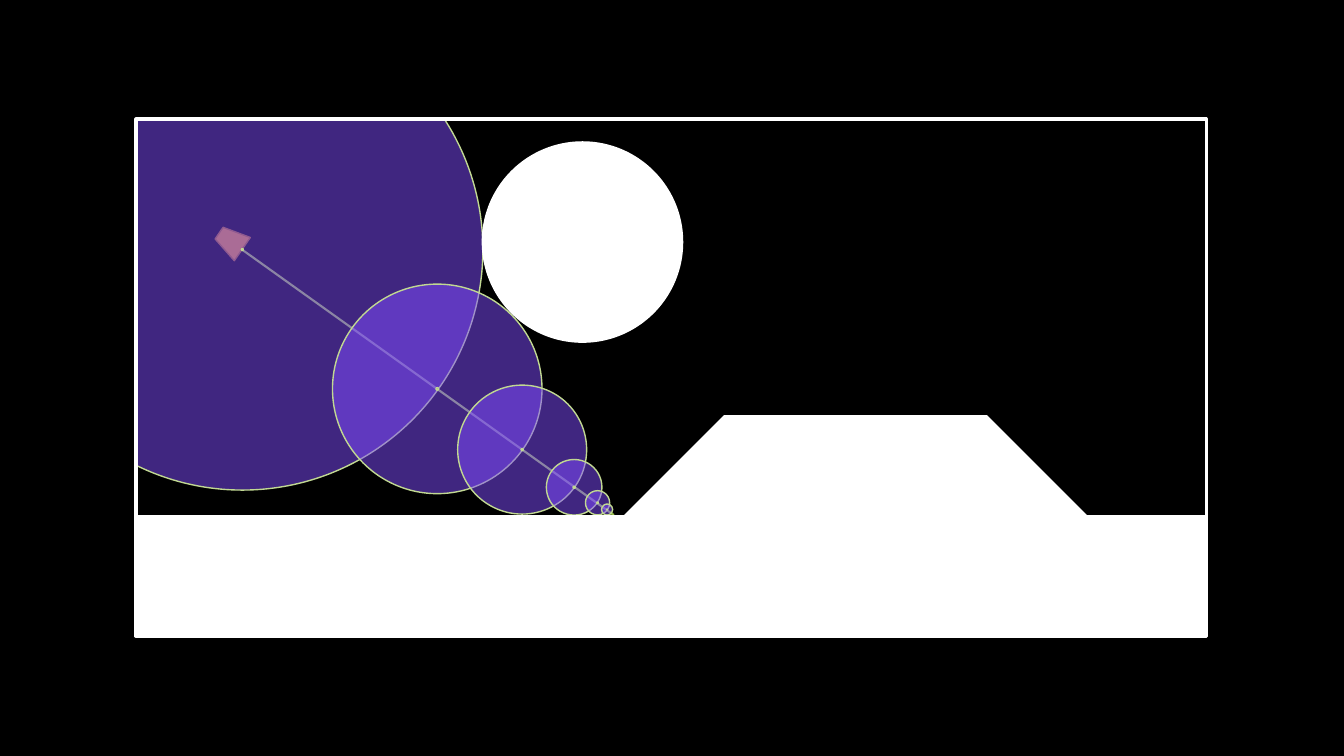
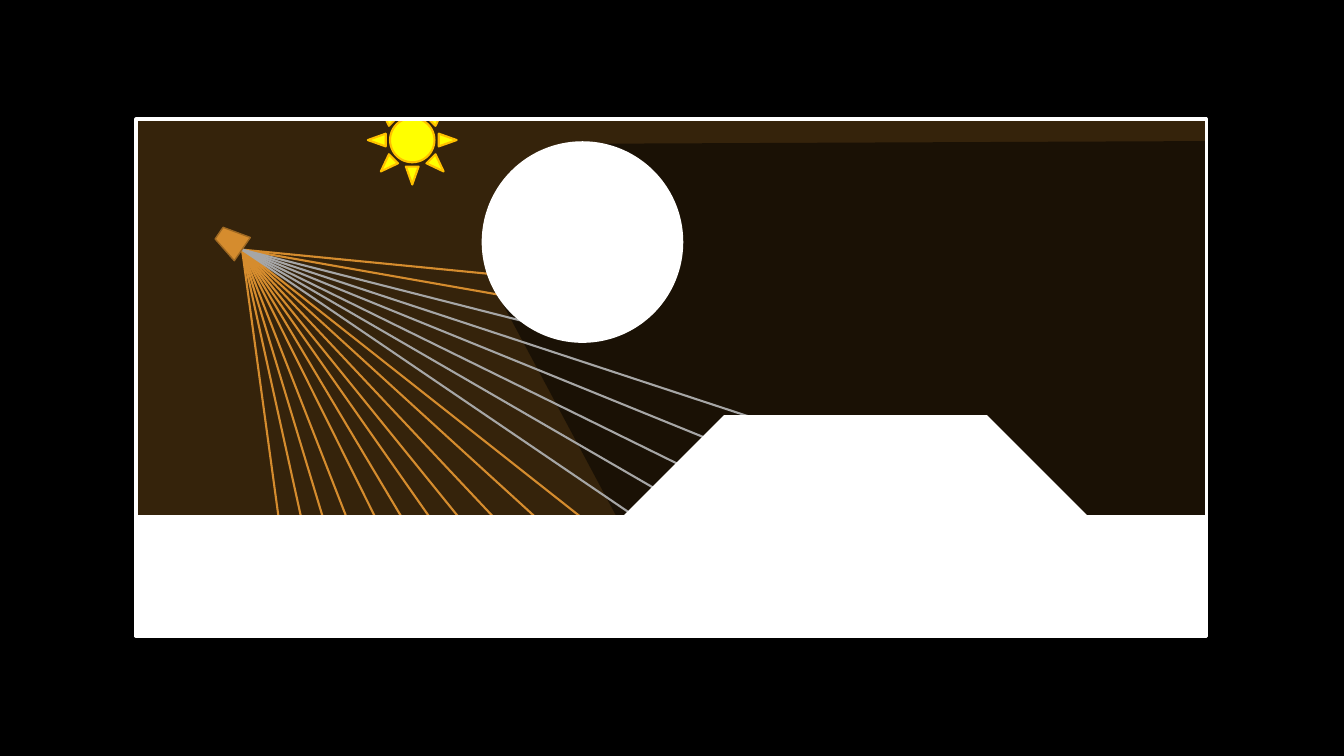
from dataclasses import dataclass, replace

import pptx
import pptx.dml.color
import pptx.enum.shapes
import pptx.oxml.ns
import pptx.util
from lxml import etree

Cm = pptx.util.Cm
Kind = pptx.enum.shapes.MSO_SHAPE
qualified = pptx.oxml.ns.qn

COLORS = {
    "black": "000000",
    "white": "FFFFFF",
    "orange": "D58C2E",
    "brown": "9E6822",
    "green": "97BE49",
    "pale_green": "C1D892",
    "violet": "814DFF",
    "gray": "A6A6A6",
    "yellow": "FFFF00",
    "gold": "FFC000",
}


@dataclass(frozen=True)
class Item:
    """A preset shape; lengths in centimetres, line width in points."""
    kind: Kind
    left: float
    top: float
    width: float
    height: float
    fill: str | None = None
    opacity: int = 100
    line: str | None = None
    line_width: float = 1
    rotation: float = 0
    adjustments: tuple[float, ...] = ()


@dataclass(frozen=True)
class Sphere:
    """A marching step: a disc with a pinhole at its centre."""
    x: float
    y: float
    diameter: float
    hole_inset: float


@dataclass(frozen=True)
class Ray:
    x: float
    y: float
    color: str


def rgb(name: str) -> pptx.dml.color.RGBColor:
    return pptx.dml.color.RGBColor.from_string(COLORS[name])


def draw_item(slide, item: Item) -> None:
    shape = slide.shapes.add_shape(
        item.kind, Cm(item.left), Cm(item.top), Cm(item.width), Cm(item.height))
    shape.shadow.inherit = False
    shape.rotation = item.rotation
    for index, value in enumerate(item.adjustments):
        shape.adjustments[index] = value
    if item.fill:
        shape.fill.solid()
        shape.fill.fore_color.rgb = rgb(item.fill)
        if item.opacity < 100:
            color = shape.fill._xPr.find(".//" + qualified("a:srgbClr"))
            alpha = etree.SubElement(color, qualified("a:alpha"))
            alpha.set("val", str(item.opacity * 1000))
    else:
        shape.fill.background()
    if item.line:
        shape.line.color.rgb = rgb(item.line)
        shape.line.width = pptx.util.Pt(item.line_width)
    else:
        shape.line.fill.background()


def draw_ray(slide, ray: Ray) -> None:
    connector = slide.shapes.add_connector(
        pptx.enum.shapes.MSO_CONNECTOR.STRAIGHT,
        Cm(EYE[0]), Cm(EYE[1]), Cm(ray.x), Cm(ray.y))
    connector.line.color.rgb = rgb(ray.color)
    connector.line.width = pptx.util.Pt(1.5)
    etree.SubElement(connector._element.spPr, qualified("a:effectLst"))


def draw_sphere(slide, sphere: Sphere) -> None:
    radius = sphere.diameter / 2
    draw_item(slide, Item(
        Kind.DONUT, sphere.x - radius, sphere.y - radius,
        sphere.diameter, sphere.diameter, "violet", 50, "pale_green",
        adjustments=(sphere.hole_inset,)))


def draw_scene(slide) -> None:
    for item in SCENE:
        draw_item(slide, item)


def draw_frame(slide, mask_width: float) -> None:
    """Hide what spills over the top and left edges, then outline the view."""
    for left, top, width, height in ((0.46, 0.2, mask_width, 2.79),
                                     (0, 1.55, 3.43, 14.5)):
        draw_item(slide, Item(Kind.RECTANGLE, left, top, width, height,
                              "black", line="black"))
    draw_item(slide, replace(VIEW, line="white", line_width=2.25))


# Shared scene
EYE = (6.1, 6.29)
VIEW = Item(Kind.RECTANGLE, 3.43, 3, 26.97, 13.03)
CAMERA = Item(Kind.TRAPEZOID, 5.46, 5.72, 0.71, 0.71, "orange",
              line="brown", rotation=304.5)
SCENE = (
    Item(Kind.OVAL, 12.14, 3.56, 5.08, 5.08, "white"),
    Item(Kind.SNIP_2_SAME_RECTANGLE, 15.72, 10.46, 11.68, 5.05, "white",
         adjustments=(0.5, 0)),
    Item(Kind.RECTANGLE, 3.43, 12.98, 26.97, 3.07, "white"),
)

# Marching slide
MARCH_RAY = Ray(15.47, 12.98, "green")
SPHERES = (
    Sphere(6.11, 6.29, 12.12, 0.498),
    Sphere(11.02, 9.8, 5.28, 0.494),
    Sphere(13.16, 11.33, 3.25, 0.492),
    Sphere(14.47, 12.28, 1.4, 0.481),
    Sphere(15.06, 12.67, 0.61, 0.468),
    Sphere(15.3, 12.84, 0.28, 0.468),
)

# Lighting slide
LIGHT = replace(VIEW, fill="orange", opacity=25)
SHADOW = Item(Kind.TRAPEZOID, 8.08, 0.71, 27.56, 19.38, "black", 50,
              rotation=300.8, adjustments=(0.602,))
SUN = Item(Kind.SUN, 9.27, 2.41, 2.24, 2.24, "yellow",
           line="gold", line_width=1.5)
RAY_ENDS = {
    "orange": (
        (7.04, 13.18), (7.62, 13.18), (8.18, 13.18), (8.79, 13.18),
        (9.53, 13.18), (10.24, 13.23), (11, 13.28), (11.76, 13.28),
        (12.7, 13.31), (13.69, 13.21), (14.83, 13.18),
        (13.11, 7.52), (12.93, 6.96)),
    "gray": (
        (15.95, 12.98), (16.69, 12.42), (17.53, 11.91), (18.26, 11.23),
        (18.95, 10.52), (13.41, 8.15)),
}


def add_black_slide(presentation):
    slide = presentation.slides.add_slide(presentation.slide_layouts[6])
    slide.background.fill.solid()
    slide.background.fill.fore_color.rgb = rgb("black")
    return slide


def build_marching_slide(presentation) -> None:
    slide = add_black_slide(presentation)
    draw_item(slide, CAMERA)
    draw_ray(slide, MARCH_RAY)
    for sphere in SPHERES:
        draw_sphere(slide, sphere)
    draw_scene(slide)
    draw_frame(slide, mask_width=12.55)


def build_lighting_slide(presentation) -> None:
    slide = add_black_slide(presentation)
    for item in (LIGHT, SHADOW, SUN):
        draw_item(slide, item)
    draw_frame(slide, mask_width=25.48)
    for color, ends in RAY_ENDS.items():
        for x, y in ends:
            draw_ray(slide, Ray(x, y, color))
    draw_scene(slide)
    draw_item(slide, CAMERA)


def main() -> None:
    presentation = pptx.Presentation()
    presentation.slide_width = Cm(33.87)
    presentation.slide_height = Cm(19.05)
    build_marching_slide(presentation)
    build_lighting_slide(presentation)
    presentation.save("out.pptx")


if __name__ == "__main__":
    main()
